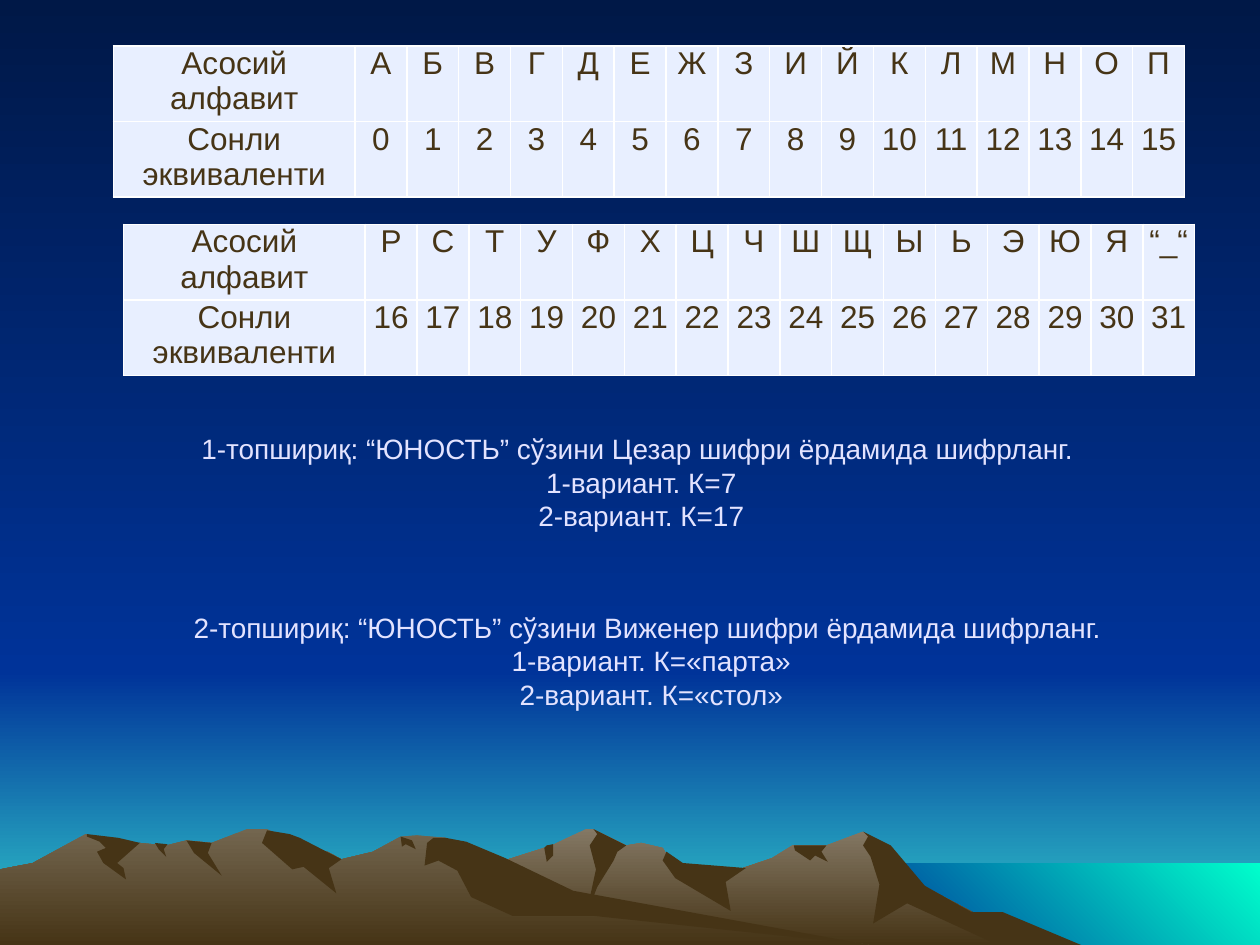
from dataclasses import dataclass

from lxml.etree import SubElement
from pptx import Presentation
from pptx.dml.color import RGBColor
from pptx.enum.shapes import MSO_SHAPE
from pptx.enum.text import MSO_ANCHOR, PP_ALIGN
from pptx.oxml.ns import qn
from pptx.util import Pt

COLORS = {
    "night": "001847",
    "blue": "003399",
    "horizon": "33CCCC",
    "sea": "00FFCC",
    "haze": "847864",
    "slope": "73664F",
    "earth": "463416",
    "cell": "E8EFFF",
    "border": "FFFFFF",
    "text": "E3E3FF",
}
FONT = "Arial"
PAGE_WIDTH, PAGE_HEIGHT = 720, 540
HORIZON, SEA_LEFT, SEA_TOP = 383.8, 491.8, 493.2

LABELS = ["Асосий\nалфавит", "Сонли\nэквиваленти"]
LABEL_WIDTH, LETTER_WIDTH, ROW_HEIGHT = 138.1, 29.65, 43.2

GRID_STEP = 0.72  # points per unit of the mountain grid
GROUND = round(PAGE_HEIGHT / GRID_STEP)


@dataclass
class Shadow:
    """A dark slope: its top on the grid, and its other corners as offsets from that top."""
    top: tuple
    offsets: list

    def corners(self):
        x, y = self.top
        return [self.top] + [(x + dx, y + dy) for dx, dy in self.offsets]


@dataclass
class Ridge:
    """A mountain range: its skyline from left to right, standing on the ground."""
    tint: str
    skyline: list
    shadows: dict

    def corners(self):
        left, right = self.skyline[0][0], self.skyline[-1][0]
        return [(left, GROUND), *self.skyline, (right, GROUND)]


FAR_RIDGE = Ridge(
    tint="haze",
    skyline=[(258, 750), (327, 709), (394, 685), (438, 671), (465, 658), (471, 658),
             (497, 671), (509, 669), (526, 673), (536, 690), (566, 697), (613, 681),
             (629, 671), (656, 671), (685, 660), (702, 671), (723, 698), (821, 750)],
    shadows={
        "east peak": Shadow((685, 660), [
            (4, 4), (0, 11), (6, 20), (13, 42), (8, 73), (35, 57), (107, 90),
            (173, 90), (111, 64), (86, 64), (49, 43), (22, 11)]),
        "middle peak": Shadow((471, 658), [
            (3, 4), (-3, 13), (2, 32), (-6, 69), (3, 46), (16, 25), (19, 18), (26, 13)]),
        "saddle": Shadow((529, 676), [(-3, 7), (7, 21), (51, 47), (47, 24), (63, 13), (13, 9)]),
        "east notch": Shadow((630, 671), [(1, 4), (13, 12), (17, 8), (27, 13), (22, 5), (26, 0)]),
        "west notch": Shadow((434, 671), [(-2, 2), (0, 13), (5, 8), (5, -1)]),
    })

NEAR_RIDGE = Ridge(
    tint="slope",
    skyline=[(0, 690), (26, 685), (68, 662), (94, 671), (111, 669), (132, 671), (148, 667),
             (168, 669), (196, 658), (212, 658), (223, 663), (236, 681), (260, 676),
             (271, 682), (296, 676), (318, 664), (331, 663), (354, 665), (432, 712),
             (690, 750)],
    shadows={
        "first peak": Shadow((69, 662), [
            (0, 2), (10, 6), (15, 11), (8, 14), (13, 23), (31, 36), (29, 27), (24, 23),
            (42, 7), (25, 3)]),
        "nick": Shadow((123, 669), [(3, 5), (9, 11), (7, 5), (10, 1)]),
        "gully": Shadow((148, 667), [(6, 10), (28, 28), (17, 10), (20, 2)]),
        "second peak": Shadow((212, 659), [
            (-4, 10), (20, 31), (29, 29), (55, 50), (49, 30), (59, 23), (26, 6), (18, 3)]),
        "cleft": Shadow((318, 664), [(1, 8), (4, 6), (12, 10), (9, 3)]),
        "long slope": Shadow((344, 665), [
            (-5, 4), (-7, 22), (4, 18), (19, 26), (30, 47), (63, 62), (128, 62),
            (346, 85), (111, 42), (57, 16), (26, 3), (10, 0)]),
    })


def color(name):
    return RGBColor.from_string(COLORS[name])


def paint(fill, *names, angle=270):
    """Fill with one colour, or with a gradient between two; the angle runs counterclockwise."""
    if len(names) == 1:
        fill.solid()
        fill.fore_color.rgb = color(names[0])
        return
    fill.gradient()
    fill.gradient_angle = angle
    for stop, name in zip(fill.gradient_stops, names):
        stop.color.rgb = color(name)


def finish(shape, *names, angle=270):
    paint(shape.fill, *names, angle=angle)
    shape.line.fill.background()
    shape.shadow.inherit = False


def add_band(page, left, top, bottom, *names, angle=270):
    """Add a gradient rectangle that reaches the right edge of the page."""
    band = page.shapes.add_shape(
        MSO_SHAPE.RECTANGLE, Pt(left), Pt(top), Pt(PAGE_WIDTH - left), Pt(bottom - top))
    finish(band, *names, angle=angle)


def add_outline(page, corners, *names):
    builder = page.shapes.build_freeform(*corners[0], scale=Pt(GRID_STEP))
    builder.add_line_segments(corners[1:], close=True)
    finish(builder.convert_to_shape(), *names)


def add_landscape(page):
    paint(page.background.fill, "night", "blue")
    add_band(page, 0, HORIZON, PAGE_HEIGHT, "blue", "horizon")
    add_band(page, 0, 0, HORIZON, "night", "blue")
    add_band(page, SEA_LEFT, SEA_TOP, PAGE_HEIGHT, "blue", "sea", angle=45)
    for ridge in (FAR_RIDGE, NEAR_RIDGE):
        add_outline(page, ridge.corners(), ridge.tint, "earth")
        for shadow in ridge.shadows.values():
            add_outline(page, shadow.corners(), "earth")


def write(frame, text, *, size, name, align=PP_ALIGN.CENTER):
    """Put each line of the text in a paragraph of its own."""
    frame.text = text
    for para in frame.paragraphs:
        para.alignment = align
        for span in para.runs:
            span.font.size = Pt(size)
            span.font.name = FONT
            span.font.color.rgb = color(name)


def add_task(page, left, top, text):
    box = page.shapes.add_textbox(Pt(left), Pt(top), Pt(648), Pt(90))
    box.text_frame.word_wrap = True
    box.text_frame.vertical_anchor = MSO_ANCHOR.MIDDLE
    write(box.text_frame, text, size=16, name="text")


def add_borders(cell):
    properties = cell._tc.get_or_add_tcPr()
    for side in ("lnL", "lnR", "lnT", "lnB"):
        line = SubElement(properties, qn(f"a:{side}"), w=str(Pt(1)))
        fill = SubElement(line, qn("a:solidFill"))
        SubElement(fill, qn("a:srgbClr"), val=COLORS["border"])


def add_cipher_table(page, left, top, letters, first_number):
    """Add a table that numbers the letters in order from the first number."""
    numbers = [str(first_number + index) for index in range(len(letters))]
    rows = [[label, *values] for label, values in zip(LABELS, (letters, numbers))]
    width = LABEL_WIDTH + LETTER_WIDTH * len(letters)
    table = page.shapes.add_table(
        len(rows), len(rows[0]), Pt(left), Pt(top), Pt(width), Pt(ROW_HEIGHT * len(rows))).table
    table.first_row = table.horz_banding = False
    for index, column in enumerate(table.columns):
        column.width = Pt(LETTER_WIDTH if index else LABEL_WIDTH)
    for row, texts in zip(table.rows, rows):
        row.height = Pt(ROW_HEIGHT)
        for cell, text in zip(row.cells, texts):
            cell.margin_left = cell.margin_right = Pt(1.44)
            cell.margin_top = cell.margin_bottom = Pt(0)
            add_borders(cell)
            paint(cell.fill, "cell")
            write(cell.text_frame, text, size=18, name="earth")


def main():
    deck = Presentation()
    deck.slide_width, deck.slide_height = Pt(PAGE_WIDTH), Pt(PAGE_HEIGHT)
    page = deck.slides.add_slide(deck.slide_layouts[6])
    add_landscape(page)
    add_task(page, 42.5, 230.4,
             "1-топшириқ: “ЮНОСТЬ” сўзини Цезар шифри ёрдамида шифрланг. \n"
             "1-вариант. К=7\n2-вариант. К=17")
    add_cipher_table(page, 64.8, 26.2, list("АБВГДЕЖЗИЙКЛМНОП"), 0)
    add_cipher_table(page, 70.6, 128.2, [*"РСТУФХЦЧШЩЫЬЭЮЯ", "“_“"], 16)
    add_task(page, 48.2, 332.6,
             "2-топшириқ: “ЮНОСТЬ” сўзини Виженер шифри ёрдамида шифрланг. \n"
             "1-вариант. К=«парта»\n2-вариант. К=«стол»")
    deck.save("out.pptx")


if __name__ == "__main__":
    main()
